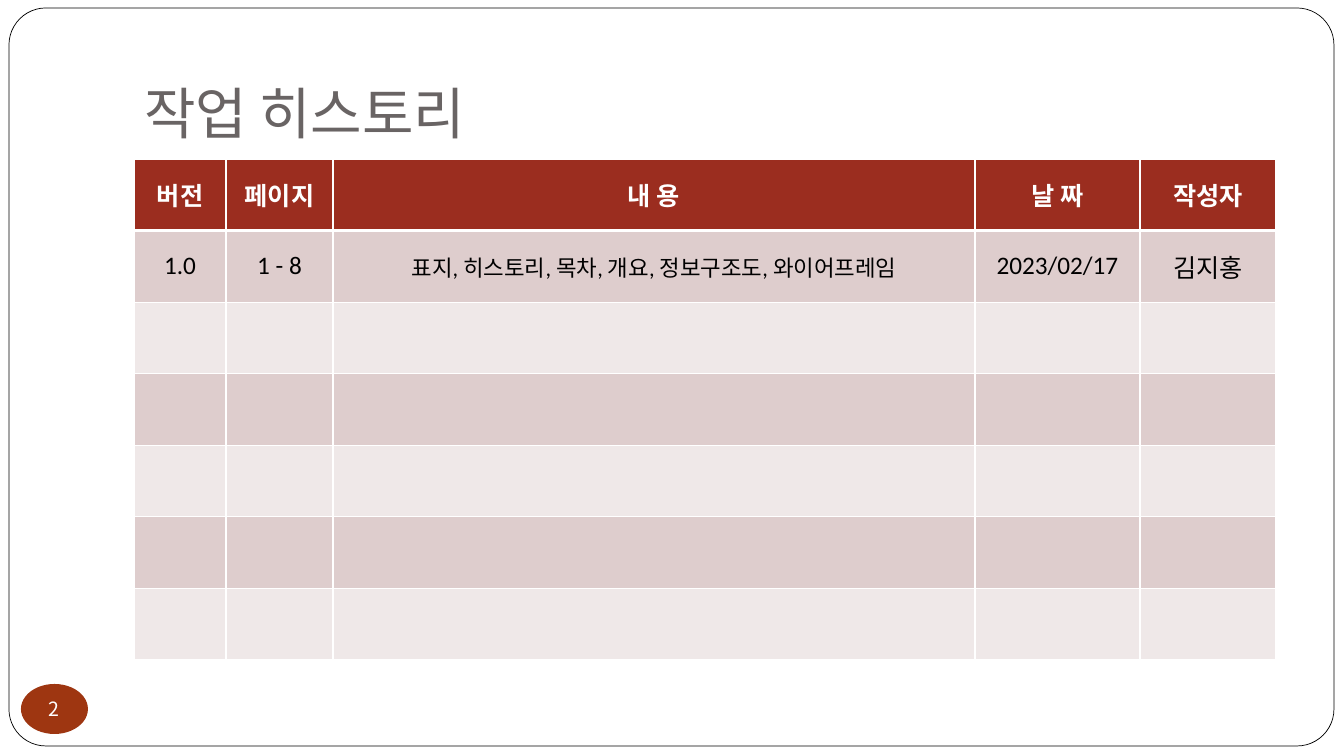
from pptx import Presentation
from pptx.dml.color import RGBColor as Rgb
from pptx.enum.shapes import MSO_SHAPE as Kind
from pptx.enum.text import MSO_ANCHOR as Anchor, MSO_AUTO_SIZE as Auto, PP_ALIGN as Align
from pptx.oxml.ns import qn
from pptx.util import Pt
from lxml.etree import SubElement as Sub

SCALE = 914400 / 100.8
HEADS = ["버전", "페이지", "내 용", "날 짜", "작성자"]
ENTRY = ["1.0", "1 - 8", "표지, 히스토리, 목차, 개요, 정보구조도, 와이어프레임", "2023/02/17", "김지홍"]
WIDTHS = [92, 107, 642, 165, 136]
ROWS = 7


def px(n):
    return round(n * SCALE)


def tint(code):
    return Rgb.from_string(code)


class Deck:
    sans = "Noto Sans CJK KR"
    body = "Calibri"
    white = "FFFFFF"
    black = "000000"
    gray = "696464"
    head = "9B2D1F"
    bands = ["DECDCD", "EFE8E8"]
    badge = "9E3611"

    def __init__(self, prs):
        self.slide = prs.slides.add_slide(prs.slide_layouts[5])
        self.shapes = self.slide.shapes

    def text(self, frame, words, size, color, font, align=Align.CENTER, bold=False):
        para = frame.paragraphs[0]
        para.alignment = align
        run = para.add_run()
        run.text = words
        face = run.font
        face.size, face.bold, face.name = Pt(size), bold, font
        face.color.rgb = tint(color)
        Sub(run._r.get_or_add_rPr(), qn("a:ea"), typeface=self.sans)

    def inset(self, frame, left, top, right, bottom):
        frame.margin_left, frame.margin_top = px(left), px(top)
        frame.margin_right, frame.margin_bottom = px(right), px(bottom)

    def shape(self, kind, box, fill, line=None):
        item = self.shapes.add_shape(kind, *map(px, box))
        item.shadow.inherit = False
        item.fill.solid()
        item.fill.fore_color.rgb = tint(fill)
        if line:
            item.line.color.rgb = tint(line)
            item.line.width = Pt(0.5)
        else:
            item.line.fill.background()
        return item

    def frame(self, box):
        item = self.shape(Kind.ROUNDED_RECTANGLE, box, self.white, self.black)
        item.adjustments[0] = 0.05
        self.shapes.element.insert(2, item.element)

    def title(self, words, box):
        item = self.shapes.title
        item.left, item.top, item.width, item.height = map(px, box)
        frame = item.text_frame
        frame.auto_size = Auto.NONE
        frame.word_wrap = True
        frame.vertical_anchor = Anchor.BOTTOM
        self.inset(frame, 10, 5, 10, 10)
        self.text(frame, words, 40, self.gray, self.sans, Align.LEFT)

    def edge(self, cell, row):
        props = cell._tc.get_or_add_tcPr()
        thick = {"lnB": row == 0, "lnT": row == 1}
        for side in ("lnL", "lnR", "lnT", "lnB"):
            line = Sub(props, qn("a:" + side), w=str(Pt(3 if thick.get(side) else 1)))
            Sub(Sub(line, qn("a:solidFill")), qn("a:srgbClr"), val=self.white)

    def table(self, box, widths, count, lines):
        grid = self.shapes.add_table(count, len(widths), *map(px, box)).table
        for col, width in zip(grid.columns, widths):
            col.width = px(width)
        for r, row in enumerate(grid.rows):
            row.height = px(box[3] / count)
            for c, cell in enumerate(row.cells):
                self.edge(cell, r)
                cell.fill.solid()
                cell.fill.fore_color.rgb = tint(self.bands[(r - 1) % 2] if r else self.head)
                cell.vertical_anchor = Anchor.MIDDLE
                if r < len(lines):
                    size = 16 if r and c == 2 else 18
                    color = self.black if r else self.white
                    self.text(cell.text_frame, lines[r][c], size, color, self.body, bold=r == 0)

    def number(self, words, box):
        frame = self.shape(Kind.OVAL, box, self.badge).text_frame
        frame.word_wrap = False
        frame.vertical_anchor = Anchor.MIDDLE
        self.inset(frame, 0, 0, 0, 0)
        self.text(frame, words, 14, self.white, self.sans)


def main():
    prs = Presentation()
    prs.slide_width, prs.slide_height = px(1344), px(756)
    deck = Deck(prs)
    deck.frame((9, 8, 1325, 738))
    deck.title("작업 히스토리", (134, 30, 1142, 126))
    deck.table((134, 159, sum(WIDTHS), 501), WIDTHS, ROWS, [HEADS, ENTRY])
    deck.number("2", (21, 684, 67, 50))
    prs.save("out.pptx")


if __name__ == "__main__":
    main()
